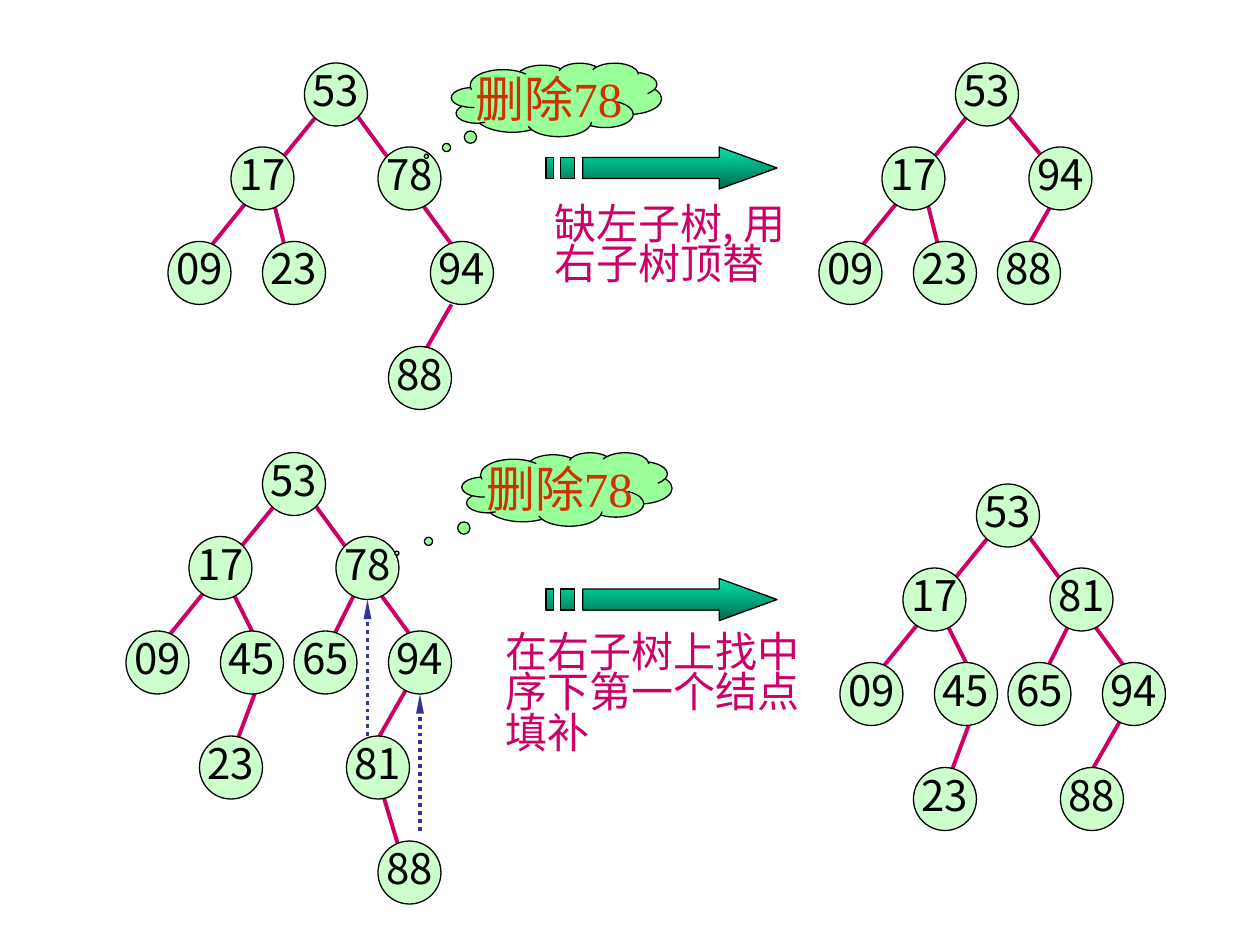
from lxml import etree
from pptx import Presentation
from pptx import util as u
from pptx.dml.color import RGBColor
from pptx.enum import dml, shapes, text
from pptx.oxml.ns import qn

SCALE = 7620  # EMU per px, 120 px to the inch

BLACK = RGBColor(0x00, 0x00, 0x00)
NODE_GREEN = RGBColor(0xCC, 0xFF, 0xCC)
CLOUD_GREEN = RGBColor(0x99, 0xFF, 0x99)
MAGENTA = RGBColor(0xCC, 0x00, 0x66)
ORANGE = RGBColor(0xCC, 0x33, 0x00)
NAVY = RGBColor(0x33, 0x33, 0x99)
TEAL_LIGHT = RGBColor(0x00, 0xE4, 0xA8)
TEAL_DARK = RGBColor(0x00, 0x6A, 0x4E)

SANS = "Noto Sans CJK SC"
SERIF = "Times New Roman"
NODE_SIZE = 60

# Positions inside a tree, relative to the root node
ROOT, LEFT, RIGHT = (0, 0), (-70, 80), (70, 80)
LEFT_LEFT, LEFT_RIGHT = (-130, 170), (-40, 170)
RIGHT_LEFT, RIGHT_RIGHT = (30, 170), (120, 170)

# Edges; a spine runs from the root through its child to the grandchild
LEFT_SPINE = (20, 40, -110, 200)
RIGHT_SPINE = (50, 50, 160, 200)
FULL_EDGES = [LEFT_SPINE, RIGHT_SPINE, (-30, 130, 0, 190), (90, 130, 60, 190),
              (0, 210, -30, 290), (140, 220, 100, 290)]

# Striped arrow outline, relative to its top left corner
ARROW_HEAD = [(165, 0), (165, 10), (35, 10), (35, 30), (165, 30), (165, 40), (220, 20)]
ARROW_STRIPES = [[(x, 10), (x, 30), (end, 30), (end, 10)] for x, end in ((14, 27), (0, 7))]


def px(*lengths):
    return [u.Emu(length * SCALE) for length in lengths]


class TreeSlide:
    def __init__(self, prs):
        self.slide = prs.slides.add_slide(prs.slide_layouts[6])
        self.shapes = self.slide.shapes

    def outline(self, shape):
        shape.shadow.inherit = False
        shape.line.color.rgb = BLACK
        shape.line.width = u.Pt(0.75)

    def label(self, frame, words, size, font, color, spacing=None, align=None):
        frame.text = words
        paragraph = frame.paragraphs[0]
        paragraph.alignment = align
        paragraph.line_spacing = spacing
        run = paragraph.runs[0]
        run.font.size = u.Pt(size)
        run.font.name = font
        run.font.color.rgb = color
        etree.SubElement(run._r.rPr, qn("a:ea"), typeface=SANS)

    def bubble(self, kind, box, fill, words, size, font, color, spacing=None):
        shape = self.shapes.add_shape(kind, *px(*box))
        self.outline(shape)
        shape.fill.solid()
        shape.fill.fore_color.rgb = fill
        frame = shape.text_frame
        frame.word_wrap = False
        frame.vertical_anchor = text.MSO_ANCHOR.MIDDLE
        self.label(frame, words, size, font, color, spacing, text.PP_ALIGN.CENTER)
        return shape

    def node(self, x, y, key):
        self.bubble(shapes.MSO_SHAPE.OVAL, (x, y, NODE_SIZE, NODE_SIZE),
                    NODE_GREEN, key, 24, SANS, BLACK, 0.8)

    def cloud(self, x, y, words, pointer):
        callout = self.bubble(shapes.MSO_SHAPE.CLOUD_CALLOUT, (x, y, 200, 70),
                              CLOUD_GREEN, words, 28, SERIF, ORANGE)
        callout.adjustments[0], callout.adjustments[1] = pointer

    def line(self, x1, y1, x2, y2, color=MAGENTA):
        connector = self.shapes.add_connector(
            shapes.MSO_CONNECTOR.STRAIGHT, *px(x1, y1, x2, y2))
        connector.line.color.rgb = color
        connector.line.width = u.Pt(2.25)
        etree.SubElement(connector._element.spPr, qn("a:effectLst"))
        return connector

    def dotted_arrow(self, x, bottom, top):
        arrow = self.line(x, bottom, x, top, NAVY)
        arrow.line.dash_style = dml.MSO_LINE.ROUND_DOT
        etree.SubElement(arrow.line._get_or_add_ln(), qn("a:tailEnd"),
                         type="triangle", w="sm", len="lg")

    def tree(self, x, y, edges, nodes):
        for x1, y1, x2, y2 in edges:
            self.line(x + x1, y + y1, x + x2, y + y2)
        for key, (dx, dy) in nodes.items():
            self.node(x + dx, y + dy, key)

    def striped_arrow(self, x, y):
        contours = [[(x + dx, y + dy) for dx, dy in contour]
                    for contour in (ARROW_HEAD, *ARROW_STRIPES)]
        builder = self.shapes.build_freeform(*contours[0][0], scale=SCALE)
        builder.add_line_segments(contours[0][1:])
        for stripe in contours[1:]:
            builder.move_to(*stripe[0])
            builder.add_line_segments(stripe[1:])
        arrow = builder.convert_to_shape()
        self.outline(arrow)
        arrow.fill.gradient()
        arrow.fill.gradient_angle = 270
        for stop, color in zip(arrow.fill.gradient_stops, (TEAL_LIGHT, TEAL_DARK)):
            stop.color.rgb = color

    def note(self, x, y, width, words, font):
        frame = self.shapes.add_textbox(*px(x, y, width, 127)).text_frame
        frame.word_wrap = True
        self.label(frame, words, 24, font, MAGENTA, 0.8)


def main():
    prs = Presentation()
    prs.slide_width, prs.slide_height = px(1200, 900)
    page = TreeSlide(prs)

    # Case 1: the deleted node has no left subtree
    page.tree(290, 60,
              [LEFT_SPINE, RIGHT_SPINE, (-30, 130, -10, 210), (140, 230, 100, 300)],
              {"53": ROOT, "17": LEFT, "78": RIGHT, "09": LEFT_LEFT,
               "23": LEFT_RIGHT, "94": RIGHT_RIGHT, "88": (80, 270)})
    page.cloud(430, 60, "删除78", (-0.62, 0.77))
    page.striped_arrow(520, 140)
    page.note(516, 191, 245, "缺左子树, 用右子树顶替", SANS)
    page.tree(910, 60,
              [LEFT_SPINE, (50, 50, 100, 110), (-30, 120, -10, 200), (100, 120, 60, 190)],
              {"53": ROOT, "17": LEFT, "94": RIGHT, "09": LEFT_LEFT,
               "23": LEFT_RIGHT, "88": (40, 170)})

    # Case 2: the deleted node has both subtrees
    shared = {"53": ROOT, "17": LEFT, "09": LEFT_LEFT, "45": LEFT_RIGHT,
              "65": RIGHT_LEFT, "94": RIGHT_RIGHT, "23": (-60, 270)}
    page.tree(250, 431, FULL_EDGES + [(110, 310, 140, 410)],
              {**shared, "78": RIGHT, "81": (80, 270), "88": (110, 370)})
    page.cloud(440, 431, "删除78", (-0.81, 0.87))
    page.striped_arrow(520, 551)
    page.note(470, 599, 310, "在右子树上找中序下第一个结点填补", SERIF)
    page.tree(930, 461, FULL_EDGES, {**shared, "81": RIGHT, "88": (80, 270)})

    # Replacement moves
    page.dotted_arrow(350, 701, 571)
    page.dotted_arrow(400, 791, 661)

    prs.save("out.pptx")


if __name__ == "__main__":
    main()
